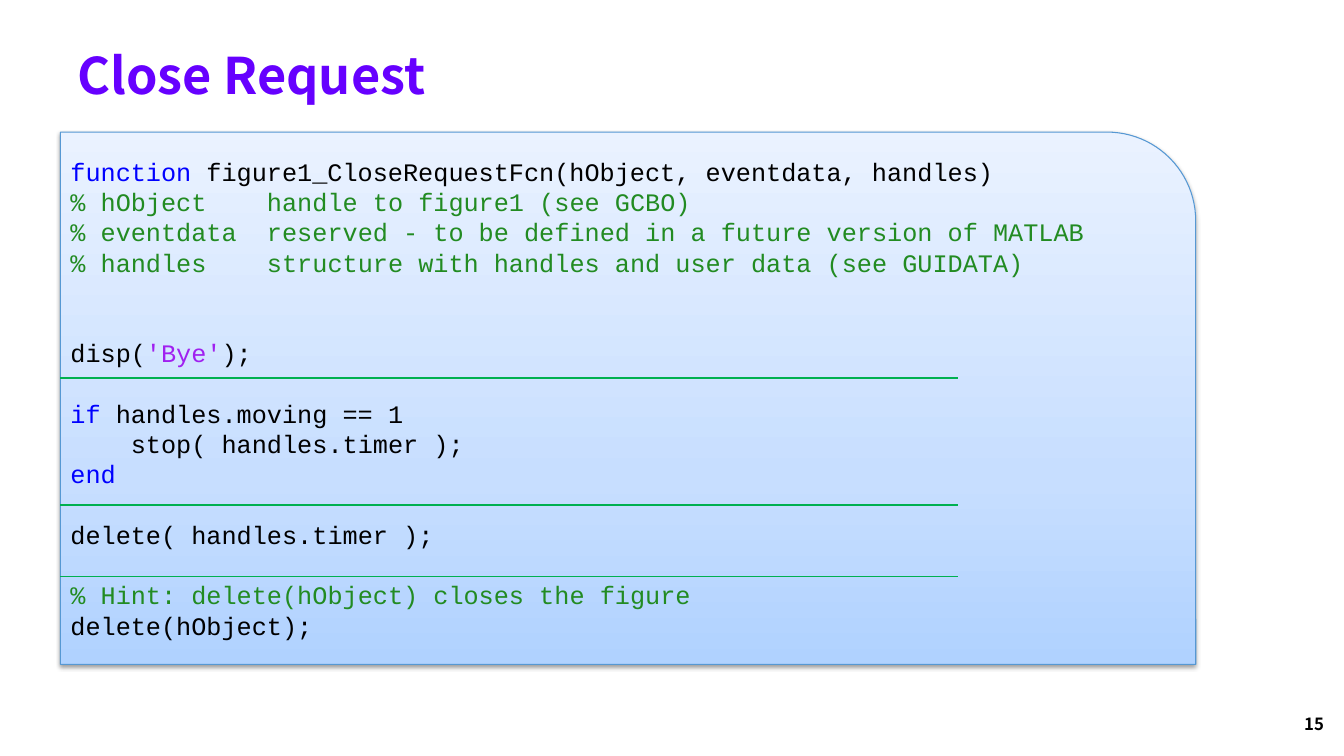
from copy import deepcopy
from dataclasses import dataclass

from lxml import etree
from pptx import Presentation
from pptx.dml.color import RGBColor
from pptx.enum.shapes import MSO_CONNECTOR, MSO_SHAPE
from pptx.enum.text import MSO_ANCHOR, PP_ALIGN
from pptx.oxml.ns import qn
from pptx.util import Emu, Inches, Pt

STRAIGHT = MSO_CONNECTOR.STRAIGHT
ROUND_ONE = MSO_SHAPE.ROUND_1_RECTANGLE
TOP, MIDDLE, BOTTOM = MSO_ANCHOR.TOP, MSO_ANCHOR.MIDDLE, MSO_ANCHOR.BOTTOM
LEFT, RIGHT = PP_ALIGN.LEFT, PP_ALIGN.RIGHT


@dataclass(frozen=True)
class Theme:
    heading_font: str = "Noto Sans CJK KR"
    code_font: str = "Courier New"
    title_size: float = 36
    code_size: float = 18
    number_size: float = 12
    code_pitch: float = 21.6
    line_width: float = 0.75
    title: str = "6600FF"
    plain: str = "000000"
    keyword: str = "0000FF"
    remark: str = "228B22"
    literal: str = "A020F0"
    divider: str = "00B050"
    border: str = "5698D3"
    gradient: tuple = ((0, "B0D2FF"), (0.35, "C7DEFF"), (1, "EAF2FF"))


@dataclass(frozen=True)
class Area:
    """Left and width in percent of slide width, top and height of slide height."""
    left: float
    top: float
    width: float
    height: float


@dataclass(frozen=True)
class Label:
    text: str
    area: Area
    size: float
    color: str
    alignment: PP_ALIGN
    anchor: MSO_ANCHOR


@dataclass(frozen=True)
class CodeLine:
    tokens: tuple  # (text, color) pairs
    gap: int = 0  # empty rows above the line


THEME = Theme()
WIDTH, HEIGHT = Inches(13.33), Inches(7.5)
PANEL = Area(4.5, 17.47, 84.47, 70.4)
DIVIDER_RIGHT = 71.27
DIVIDER_TOPS = (50, 66.8, 76.27)

LABELS = (
    Label("15", Area(75.92, 93.73, 23.33, 4), THEME.number_size, THEME.plain, RIGHT, TOP),
    Label("Close Request", Area(5.03, 1.73, 90.32, 12.8), THEME.title_size, THEME.title, LEFT, BOTTOM),
)

CODE = (
    CodeLine((("function", THEME.keyword),
              (" figure1_CloseRequestFcn(hObject, eventdata, handles)", THEME.plain))),
    CodeLine((("% hObject    handle to figure1 (see GCBO)", THEME.remark),)),
    CodeLine((("% eventdata  reserved - to be defined in a future version of MATLAB", THEME.remark),)),
    CodeLine((("% handles    structure with handles and user data (see GUIDATA)", THEME.remark),)),
    CodeLine((("disp(", THEME.plain), ("'Bye'", THEME.literal), (");", THEME.plain)), gap=2),
    CodeLine((("if ", THEME.keyword), ("handles.moving == 1", THEME.plain)), gap=1),
    CodeLine((("    stop( handles.timer );", THEME.plain),)),
    CodeLine((("end", THEME.keyword),)),
    CodeLine((("delete( handles.timer );", THEME.plain),), gap=1),
    CodeLine((("% Hint: delete(hObject) closes the figure", THEME.remark),), gap=1),
    CodeLine((("delete(hObject);", THEME.plain),)),
)


def across(percent: float) -> Emu:
    return Emu(round(WIDTH * percent / 100))


def down(percent: float) -> Emu:
    return Emu(round(HEIGHT * percent / 100))


def place(area: Area) -> tuple:
    return across(area.left), down(area.top), across(area.width), down(area.height)


def add_run(paragraph, text: str, font: str, size: float, color: str, bold: bool = False) -> None:
    run = paragraph.add_run()
    run.text = text
    run.font.name = font
    run.font.size = Pt(size)
    run.font.bold = bold
    run.font.color.rgb = RGBColor.from_string(color)


def add_label(slide, label: Label) -> None:
    frame = slide.shapes.add_textbox(*place(label.area)).text_frame
    frame.word_wrap = True
    frame.vertical_anchor = label.anchor
    paragraph = frame.paragraphs[0]
    paragraph.alignment = label.alignment
    add_run(paragraph, label.text, THEME.heading_font, label.size, label.color, bold=True)


def fill_gradient(shape) -> None:
    shape.fill.gradient()
    shape.fill.gradient_angle = 90
    stop_list = shape.element.spPr.find(".//" + qn("a:gsLst"))
    stop_list.append(deepcopy(stop_list[-1]))
    for stop, (position, color) in zip(shape.fill.gradient_stops, THEME.gradient):
        stop.position = position
        stop.color.rgb = RGBColor.from_string(color)


def add_soft_shadow(shape) -> None:
    shape.shadow.inherit = False
    effects = shape.element.spPr.find(qn("a:effectLst"))
    shadow = etree.SubElement(effects, qn("a:outerShdw"), blurRad=str(Pt(3.1)),
                              dist=str(Pt(1.6)), dir="5400000", rotWithShape="0")
    color = etree.SubElement(shadow, qn("a:srgbClr"), val=THEME.plain)
    etree.SubElement(color, qn("a:alpha"), val="38000")


def add_code_panel(slide) -> None:
    panel = slide.shapes.add_shape(ROUND_ONE, *place(PANEL))
    fill_gradient(panel)
    panel.line.color.rgb = RGBColor.from_string(THEME.border)
    panel.line.width = Pt(THEME.line_width)
    add_soft_shadow(panel)
    frame = panel.text_frame
    frame.word_wrap = True
    frame.vertical_anchor = MIDDLE
    for index, code_line in enumerate(CODE):
        paragraph = frame.add_paragraph() if index else frame.paragraphs[0]
        paragraph.alignment = LEFT
        paragraph.line_spacing = Pt(THEME.code_pitch)
        if code_line.gap:
            paragraph.space_before = Pt(code_line.gap * THEME.code_pitch)
        for text, color in code_line.tokens:
            add_run(paragraph, text, THEME.code_font, THEME.code_size, color)


def add_divider(slide, top: float) -> None:
    divider = slide.shapes.add_connector(
        STRAIGHT, across(PANEL.left), down(top), across(DIVIDER_RIGHT), down(top))
    divider.line.color.rgb = RGBColor.from_string(THEME.divider)
    divider.line.width = Pt(THEME.line_width)
    etree.SubElement(divider.element.spPr, qn("a:effectLst"))


def main() -> None:
    presentation = Presentation()
    presentation.slide_width, presentation.slide_height = WIDTH, HEIGHT
    slide = presentation.slides.add_slide(presentation.slide_layouts[6])

    # Page number and title
    for label in LABELS:
        add_label(slide, label)

    # Code listing and the lines between its sections
    add_code_panel(slide)
    for top in DIVIDER_TOPS:
        add_divider(slide, top)

    presentation.save("out.pptx")


if __name__ == "__main__":
    main()
